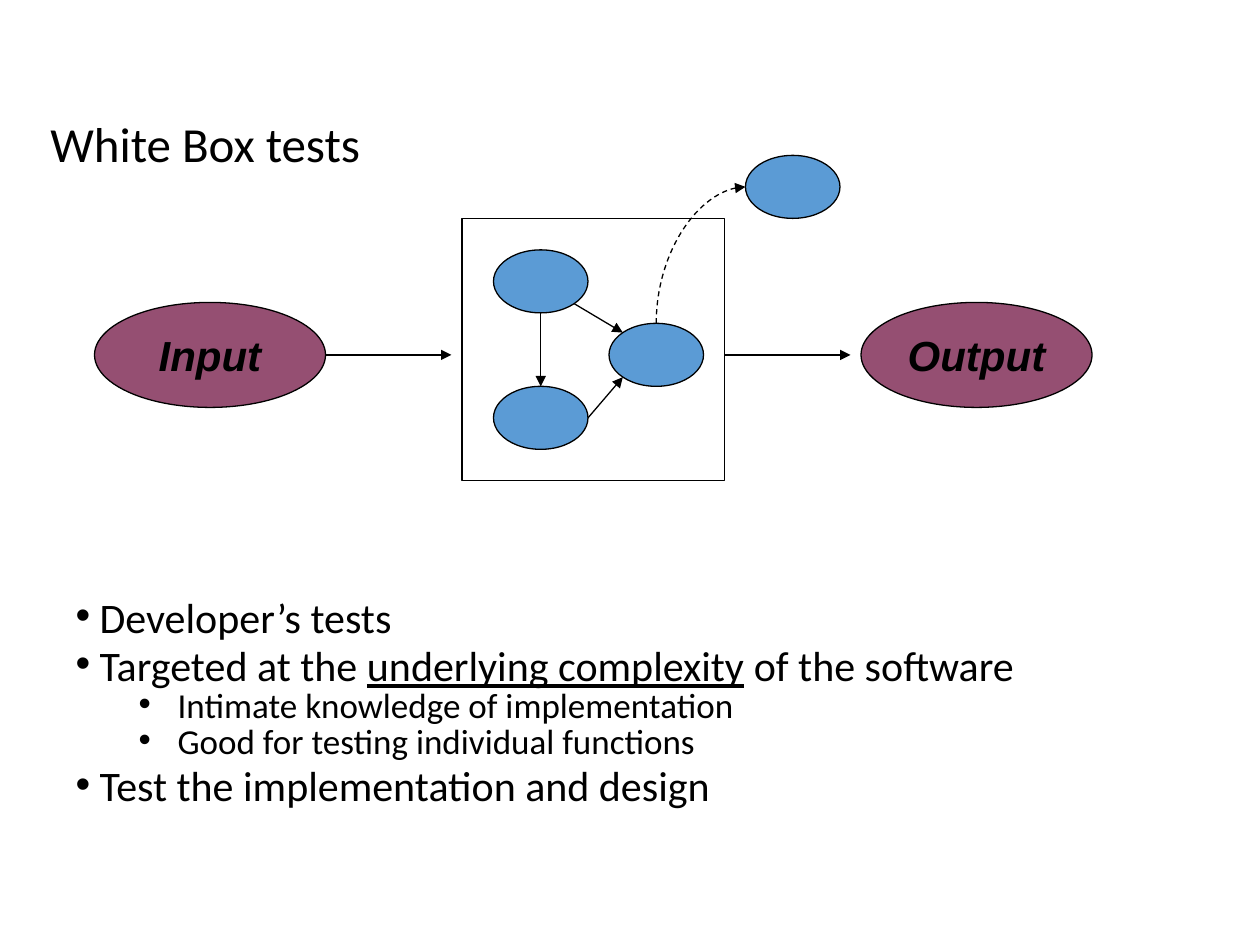
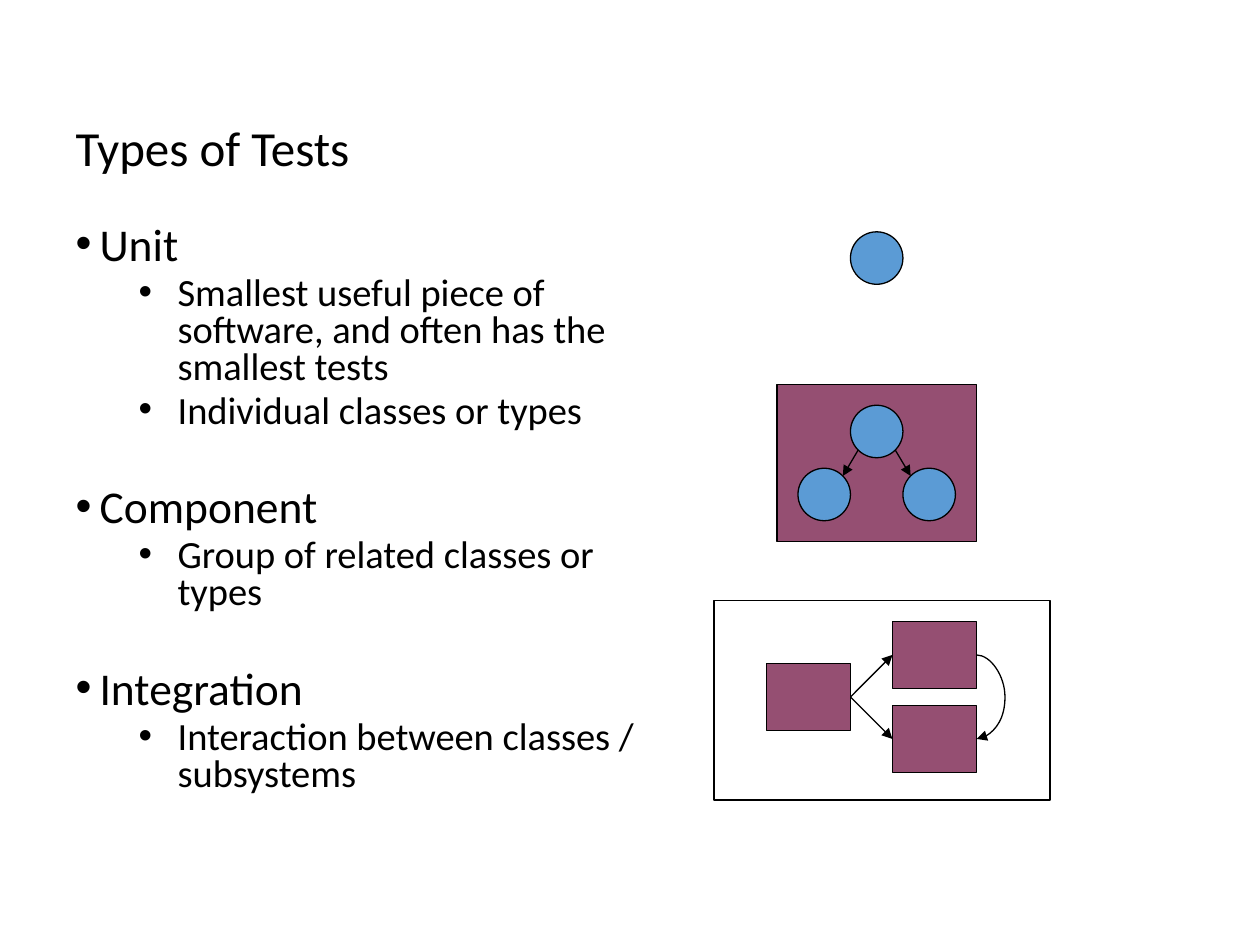
"""Build two slides on white box tests and types of tests."""
import math
from typing import Any, NamedTuple

from lxml import etree
from pptx import Presentation
from pptx import util as u
from pptx.dml.color import RGBColor
from pptx.enum import dml, shapes, text
from pptx.oxml import ns

COLUMNS, ROWS = 120, 90
WIDTH, HEIGHT = u.Inches(10), u.Inches(7.5)
BLACK, WHITE, PLUM, BLUE = "000000", "FFFFFF", "954F72", "5B9BD5"
BODY_FONT, LABEL_FONT = "Calibri", "Arial"
OVAL, RECTANGLE = shapes.MSO_SHAPE.OVAL, shapes.MSO_SHAPE.RECTANGLE
RIGHT, DOWN_RIGHT, DOWN, DOWN_LEFT, LEFT, UP_LEFT, UP, UP_RIGHT = range(0, 360, 45)
LEFT_SIDE, RIGHT_SIDE = 1, 3


class Area(NamedTuple):
    column: float
    row: float
    columns: float
    rows: float


class Point(NamedTuple):
    x: int
    y: int


class Item(NamedTuple):
    words: str
    level: int = 0
    underlined: str = ""
    gap: float = 0


class ListStyle(NamedTuple):
    sizes: tuple[int, int]
    line_spacing: float


class Level(NamedTuple):
    indent: float
    hanging: float
    space_before: float


LEVELS = (Level(0.19, 0.19, 7.5), Level(0.81, 0.31, 3.8))


def across(columns: float) -> int:
    return round(WIDTH * columns / COLUMNS)


def down(rows: float) -> int:
    return round(HEIGHT * rows / ROWS)


def color(code: str) -> RGBColor:
    return RGBColor.from_string(code)


def assign(target: Any, values: dict[str, Any]) -> None:
    for name, value in values.items():
        setattr(target, name, value)


def place(shape: Any, area: Area) -> None:
    assign(shape, {"left": across(area.column), "top": down(area.row),
                   "width": across(area.columns), "height": down(area.rows)})


def style_span(span: Any, size: float, **values: Any) -> None:
    assign(span.font, {"size": u.Pt(size), "name": BODY_FONT, **values})
    span.font.color.rgb = color(BLACK)


def add_bullet(para: Any, level: Level) -> None:
    properties = para._p.get_or_add_pPr()
    properties.set("marL", str(u.Inches(level.indent)))
    properties.set("indent", str(-u.Inches(level.hanging)))
    etree.SubElement(properties, ns.qn("a:buFont"), typeface=LABEL_FONT)
    etree.SubElement(properties, ns.qn("a:buChar"), char="•")


def add_page(deck: Any, title: str, area: Area) -> Any:
    page = deck.slides.add_slide(deck.slide_layouts[1])
    box = page.shapes.title
    place(box, area)
    assign(box.text_frame, {"auto_size": text.MSO_AUTO_SIZE.NONE,
                            "vertical_anchor": text.MSO_ANCHOR.MIDDLE})
    para = box.text_frame.paragraphs[0]
    assign(para, {"alignment": text.PP_ALIGN.LEFT, "line_spacing": 0.9})
    span = para.add_run()
    span.text = title
    style_span(span, 28)
    return page


def fill_list(page: Any, area: Area, style: ListStyle, items: list[Item]) -> None:
    box = page.placeholders[1]
    place(box, area)
    frame = box.text_frame
    frame.auto_size = text.MSO_AUTO_SIZE.NONE
    for index, item in enumerate(items):
        para = frame.add_paragraph() if index else frame.paragraphs[0]
        level = LEVELS[item.level]
        assign(para, {"level": item.level, "line_spacing": style.line_spacing,
                      "space_before": u.Pt(level.space_before + item.gap)})
        add_bullet(para, level)
        parts = item.words.partition(item.underlined) if item.underlined else (item.words,)
        for part in parts:
            span = para.add_run()
            span.text = part
            underline = {"underline": True} if part == item.underlined else {}
            style_span(span, style.sizes[item.level], **underline)


def add_block(parent: Any, kind: Any, area: Area, fill: str, label: str = "") -> Any:
    block = parent.shapes.add_shape(kind, 0, 0, across(area.columns), down(area.rows))
    place(block, area)
    block.shadow.inherit = False
    block.fill.solid()
    block.fill.fore_color.rgb = color(fill)
    block.line.color.rgb = color(BLACK)
    block.line.width = u.Pt(0.75)
    if label:
        assign(block.text_frame, {"word_wrap": False,
                                  "vertical_anchor": text.MSO_ANCHOR.MIDDLE})
        para = block.text_frame.paragraphs[0]
        para.alignment = text.PP_ALIGN.CENTER
        span = para.add_run()
        span.text = label
        style_span(span, 24, name=LABEL_FONT, bold=True, italic=True)
    return block


def rim(oval: Any, angle: int) -> Point:
    """Return the point of an oval's outline at a clockwise angle from the right."""
    turn = math.radians(angle)
    return Point(round(oval.left + oval.width * (1 + math.cos(turn)) / 2),
                 round(oval.top + oval.height * (1 + math.sin(turn)) / 2))


def side(block: Any, site: int) -> Point:
    return Point(block.left + (block.width if site == RIGHT_SIDE else 0),
                 block.top + block.height // 2)


def add_arrow(parent: Any, start: Point, end: Point, curved: bool = False,
              dashed: bool = False) -> Any:
    kind = shapes.MSO_CONNECTOR.CURVE if curved else shapes.MSO_CONNECTOR.STRAIGHT
    arrow = parent.shapes.add_connector(kind, *start, *end)
    arrow.line.color.rgb = color(BLACK)
    arrow.line.width = u.Pt(0.75)
    if dashed:
        arrow.line.dash_style = dml.MSO_LINE.DASH
    etree.SubElement(arrow.line._get_or_add_ln(), ns.qn("a:tailEnd"), type="triangle")
    etree.SubElement(arrow._element.spPr, ns.qn("a:effectLst"))
    return arrow


def join_blocks(parent: Any, source: Any, target: Any) -> None:
    arrow = add_arrow(parent, side(source, RIGHT_SIDE), side(target, LEFT_SIDE))
    arrow.begin_connect(source, RIGHT_SIDE)
    arrow.end_connect(target, LEFT_SIDE)


def add_quarter_curve(parent: Any, start: Point, end: Point) -> None:
    """Draw a dashed arrow that leaves upwards and arrives from the left."""
    arrow = add_arrow(parent, start, end, curved=True, dashed=True)
    run, rise = end.x - start.x, start.y - end.y
    frame = arrow._element.spPr.find(ns.qn("a:xfrm"))
    for flip in ("flipH", "flipV"):
        frame.attrib.pop(flip, None)
    frame.set("rot", str(270 * 60000))
    assign(arrow, {"left": (start.x + end.x - rise) // 2,
                   "top": (start.y + end.y - run) // 2,
                   "width": rise, "height": run})
    arrow._element.spPr.find(ns.qn("a:prstGeom")).set("prst", "curvedConnector2")


def add_return_curve(parent: Any, source: Any, target: Any, reach: int) -> None:
    """Draw an arrow that bulges right between the right sides of two blocks."""
    start, end = side(source, RIGHT_SIDE), side(target, RIGHT_SIDE)
    sliver = 1588
    arrow = add_arrow(parent, start, Point(end.x + sliver, end.y), curved=True)
    geometry = arrow._element.spPr.find(ns.qn("a:prstGeom"))
    guides = geometry.find(ns.qn("a:avLst"))
    if guides is None:
        guides = etree.SubElement(geometry, ns.qn("a:avLst"))
    etree.SubElement(guides, ns.qn("a:gd"), name="adj1",
                     fmla=f"val {round(reach / sliver * 100000)}")


def add_white_box_page(deck: Any) -> None:
    page = add_page(deck, "White Box tests", Area(3.6, 7.92, 108, 12.12))
    fill_list(page, Area(6, 57, 108, 22), ListStyle((24, 20), 0.7), [
        Item("Developer’s tests"),
        Item("Targeted at the underlying complexity of the software",
             underlined="underlying complexity"),
        Item("Intimate knowledge of implementation", 1),
        Item("Good for testing individual functions", 1),
        Item("Test the implementation and design"),
    ])
    top = 14.8
    for label, column, arrow_column in (("Input", 9, 31), ("Output", 82, 69)):
        group = page.shapes.add_group_shape()
        add_block(group, OVAL, Area(column, top + 14, 22, 10), PLUM, label)
        row = down(top + 19)
        add_arrow(group, Point(across(arrow_column), row),
                  Point(across(arrow_column + 12), row))

    group = page.shapes.add_group_shape()
    add_block(group, RECTANGLE, Area(44, top + 6, 25, 25), WHITE)
    first, second, third, outside = (
        add_block(group, OVAL, Area(column, top + row, 9, 6), BLUE)
        for column, row in ((47, 9), (47, 22), (58, 16), (71, 0)))
    add_arrow(group, rim(first, DOWN), rim(second, UP))
    add_arrow(group, rim(first, DOWN_RIGHT), rim(third, UP_LEFT))
    add_arrow(group, rim(second, RIGHT), rim(third, DOWN_LEFT))
    add_quarter_curve(group, rim(third, UP), rim(outside, LEFT))


def add_types_page(deck: Any) -> None:
    page = add_page(deck, "Types of Tests", Area(6, 5.64, 103.44, 17.4))
    section_gap = 25.3
    fill_list(page, Area(6, 21, 60, 59.4), ListStyle((26, 22), 0.8), [
        Item("Unit"),
        Item("Smallest useful piece of software, and often has the smallest tests", 1),
        Item("Individual classes or types", 1),
        Item("Component", gap=section_gap),
        Item("Group of related classes or types", 1),
        Item("Integration", gap=section_gap),
        Item("Interaction between classes / subsystems", 1),
    ])
    add_block(page, OVAL, Area(81, 22.08, 5, 5), BLUE)

    component = page.shapes.add_group_shape()
    top = 36.6
    add_block(component, RECTANGLE, Area(74, top, 19, 15), PLUM)
    parent, left_child, right_child = (
        add_block(component, OVAL, Area(column, top + row, 5, 5), BLUE)
        for column, row in ((81, 2), (76, 8), (86, 8)))
    add_arrow(component, rim(parent, DOWN_LEFT), rim(left_child, UP_RIGHT))
    add_arrow(component, rim(parent, DOWN_RIGHT), rim(right_child, UP_LEFT))

    integration = page.shapes.add_group_shape()
    top = 57.2
    add_block(integration, RECTANGLE, Area(68, top, 32, 19), WHITE)
    source, upper, lower = (
        add_block(integration, RECTANGLE, Area(column, top + row, 8, 6.35), PLUM)
        for column, row in ((73, 6), (85, 2), (85, 10)))
    join_blocks(integration, source, upper)
    join_blocks(integration, source, lower)
    add_return_curve(integration, upper, lower, across(3))


def main() -> None:
    deck = Presentation()
    assign(deck, {"slide_width": WIDTH, "slide_height": HEIGHT})
    add_white_box_page(deck)
    add_types_page(deck)
    deck.save("out.pptx")


if __name__ == "__main__":
    main()
